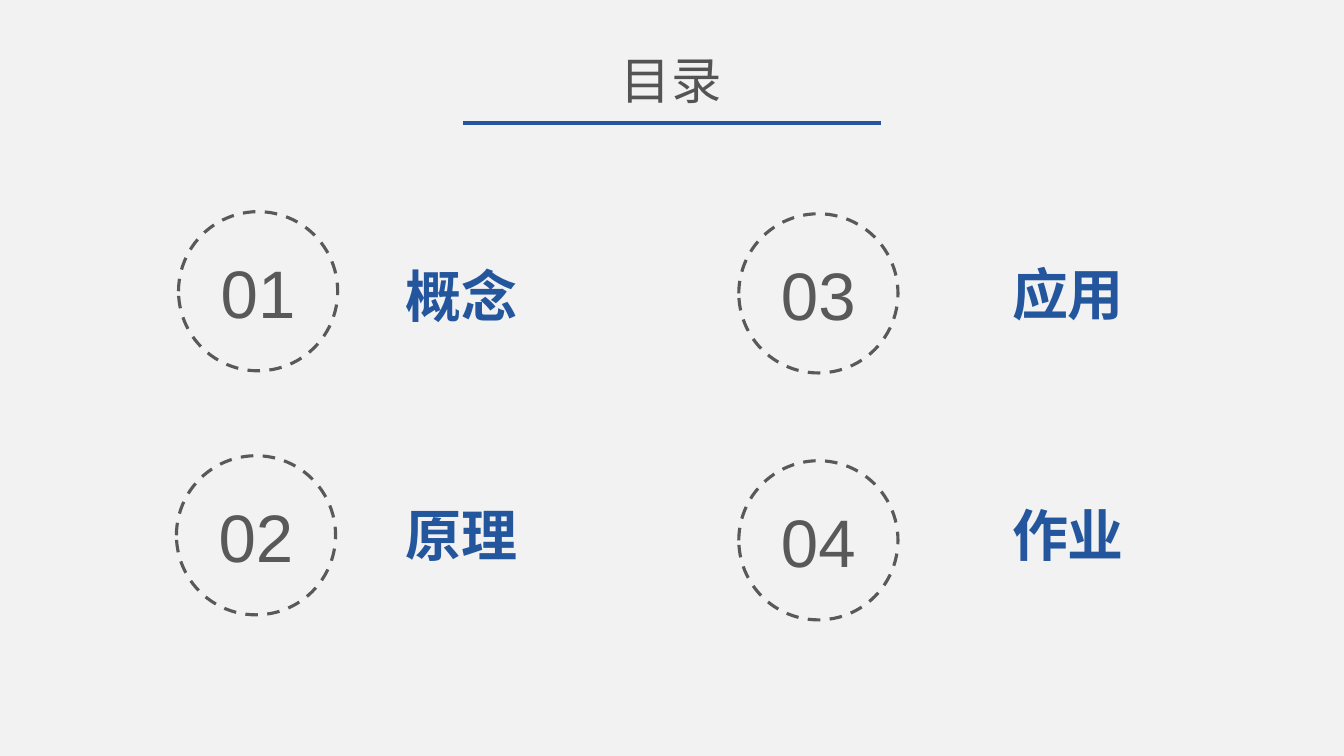
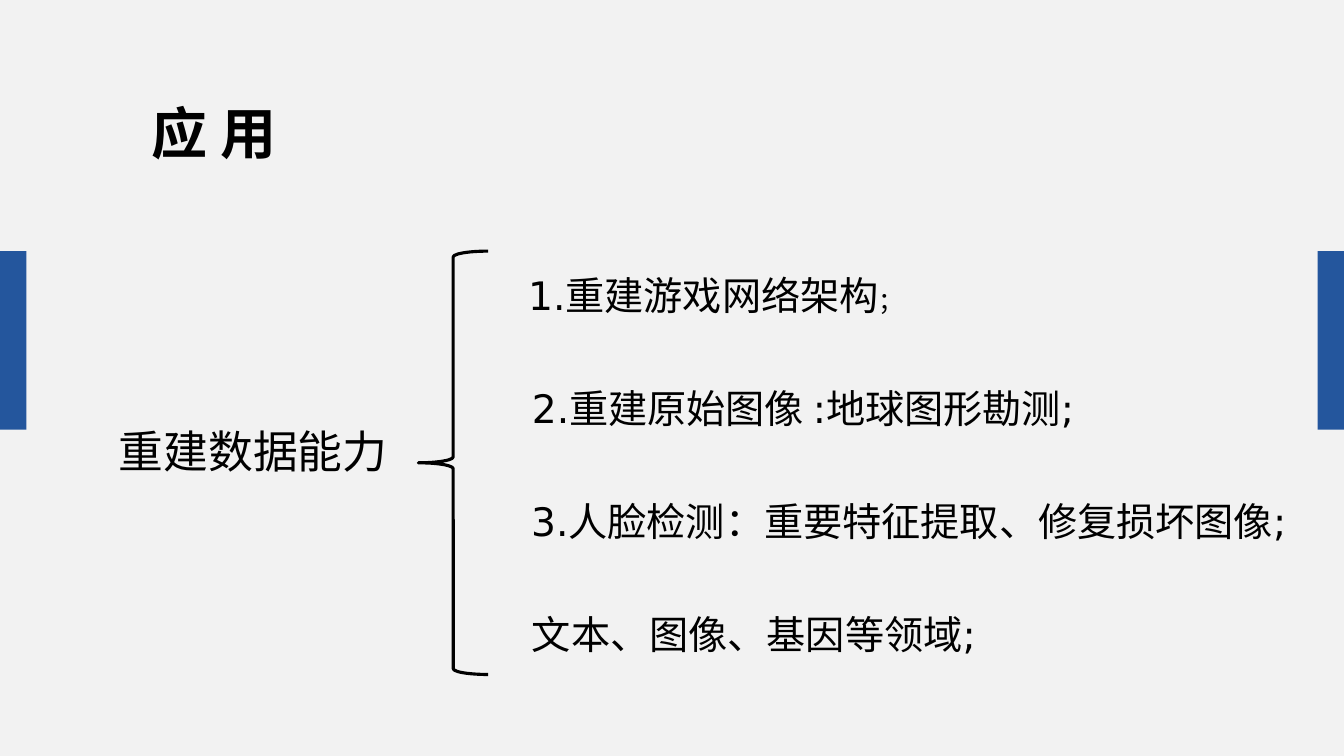
from typing import NamedTuple

from lxml import etree
from pptx import Presentation
from pptx import util as u
from pptx.dml.color import RGBColor
from pptx.enum import dml, shapes, text
from pptx.oxml.ns import qn

COLS, ROWS = 32, 18
WIDE, HIGH = u.Inches(13.333), u.Inches(7.5)
PALE, BLUE, GREY, DARK, BLACK = "F2F2F2", "24569D", "595959", "545454", "000000"
SANS, HAN, ARIAL = "DejaVu Sans", "Noto Sans CJK SC", "Arial"


class Box(NamedTuple):
    col: float
    row: float
    cols: float
    rows: float


class Run(NamedTuple):
    words: str
    size: float
    color: str = BLACK
    bold: bool = False
    font: str = SANS


class Topic(NamedTuple):
    ring: tuple[float, float]
    label: tuple[float, float]
    words: str


class Item(NamedTuple):
    col: float
    cols: float
    runs: list[Run]


RING = 3.79
TOPICS = [
    Topic((4.25, 5.04), (9.43, 6.1), "概念"),
    Topic((4.2, 10.85), (9.43, 11.81), "原理"),
    Topic((17.59, 5.09), (23.86, 6.05), "应用"),
    Topic((17.59, 10.97), (23.86, 11.81), "作业"),
]
TOP, STEP = 5.78, 2.69
ITEMS = [
    Item(12.34, 11.9, [Run("1.重建游戏网络架构", 28), Run("；", 18)]),
    Item(12.43, 14.81, [Run("2.重建原始图像 :地球图形勘测;", 28)]),
    Item(12.41, 19.58, [Run("3.人脸检测：重要特征提取、修复损坏图像;", 28)]),
    Item(12.43, 19.56, [Run("文本、图像、基因等领域;", 28)]),
]


def tint(code: str) -> RGBColor:
    return RGBColor.from_string(code)


def across(cols: float) -> int:
    return round(WIDE * cols / COLS)


def down(rows: float) -> int:
    return round(HIGH * rows / ROWS)


def place(box: Box) -> tuple[int, int, int, int]:
    return across(box.col), down(box.row), across(box.cols), down(box.rows)


def write(frame, runs: list[Run]):
    para = frame.paragraphs[0]
    for item in runs:
        run = para.add_run()
        run.text = item.words
        font = run.font
        font.size, font.bold, font.name = u.Pt(item.size), item.bold, item.font
        font.color.rgb = tint(item.color)
        east = etree.SubElement(run._r.get_or_add_rPr(), qn("a:ea"))
        east.set("typeface", HAN)
    return para


def note(slide, box: Box, runs: list[Run], wrap: bool = False, lead: float = 1.0) -> None:
    frame = slide.shapes.add_textbox(*place(box)).text_frame
    frame.word_wrap = wrap
    frame.auto_size = text.MSO_AUTO_SIZE.SHAPE_TO_FIT_TEXT
    write(frame, runs).line_spacing = lead


def form(slide, kind, box: Box, fill: str = "", line: str = ""):
    shape = slide.shapes.add_shape(kind, *place(box))
    shape.shadow.inherit = False
    if fill:
        shape.fill.solid()
        shape.fill.fore_color.rgb = tint(fill)
    else:
        shape.fill.background()
    if line:
        shape.line.color.rgb = tint(line)
        shape.line.width = u.Pt(2.25)
    else:
        shape.line.fill.background()
    return shape


def rule(slide, start: float, end: float, row: float) -> None:
    line = slide.shapes.add_connector(
        shapes.MSO_CONNECTOR.STRAIGHT, across(start), down(row), across(end), down(row))
    line.line.color.rgb = tint(BLUE)
    line.line.width = u.Pt(3.5)
    etree.SubElement(line._element.spPr, qn("a:effectLst"))


def ring(slide, topic: Topic, number: int) -> None:
    shape = form(slide, shapes.MSO_SHAPE.OVAL, Box(*topic.ring, RING, RING), PALE, GREY)
    shape.line.dash_style = dml.MSO_LINE.DASH
    frame = shape.text_frame
    frame.vertical_anchor = text.MSO_ANCHOR.MIDDLE
    para = write(frame, [Run(f"{number:02}", 48, GREY, font=ARIAL)])
    para.alignment = text.PP_ALIGN.CENTER


def agenda(slide) -> None:
    note(slide, Box(14.54, 1.06, 2.9, 1.7), [Run("目录", 36, DARK, font=HAN)])
    rule(slide, 11.02, 20.98, 2.93)
    for number, topic in enumerate(TOPICS, 1):
        ring(slide, topic, number)
        note(slide, Box(*topic.label, 3.17, 1.85), [Run(topic.words, 40, BLUE, True)])


def uses(slide) -> None:
    band = 0.63
    for col in (0, COLS - band):
        form(slide, shapes.MSO_SHAPE.RECTANGLE, Box(col, 5.98, band, 4.25), BLUE)
    note(slide, Box(3.38, 2.23, 3.62, 1.85), [Run("应 用", 40, bold=True)])
    note(slide, Box(2.59, 9.98, 7.37, 1.54), [Run("重建数据能力", 32)], True)
    form(slide, shapes.MSO_SHAPE.LEFT_BRACE, Box(9.96, 5.98, 1.66, 10.08), line=BLACK)
    for index, item in enumerate(ITEMS):
        box = Box(item.col, TOP + index * STEP, item.cols, 1.73)
        note(slide, box, item.runs, True, 1.5)


def main() -> None:
    deck = Presentation()
    deck.slide_width, deck.slide_height = WIDE, HIGH
    back = deck.slide_master.background.fill
    back.solid()
    back.fore_color.rgb = tint(PALE)
    for draw in (agenda, uses):
        draw(deck.slides.add_slide(deck.slide_layouts[6]))
    deck.save("out.pptx")


if __name__ == "__main__":
    main()
